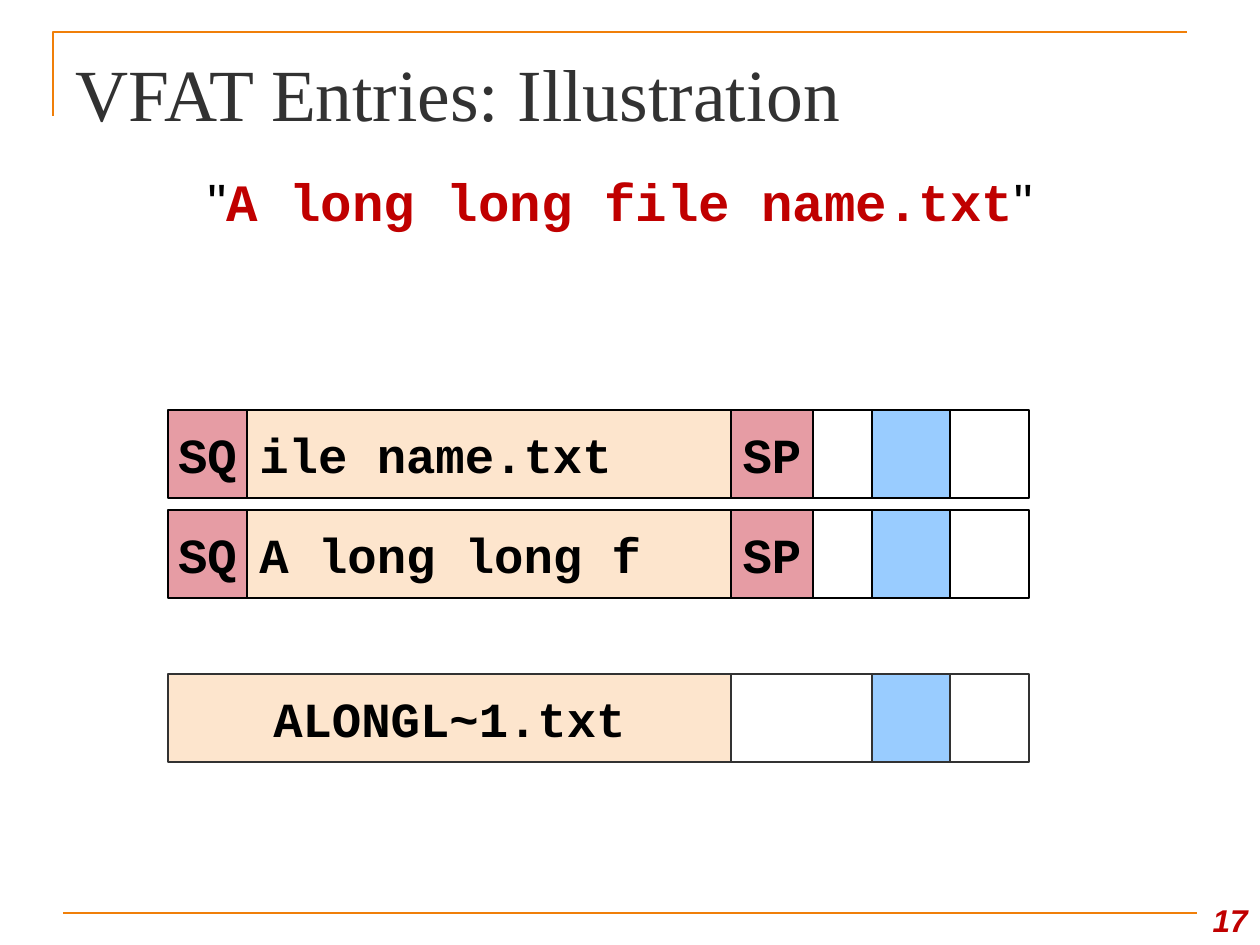
from lxml import etree
from pptx import Presentation
from pptx.dml.color import RGBColor
from pptx.enum.shapes import MSO_CONNECTOR, MSO_SHAPE
from pptx.enum.text import MSO_ANCHOR, MSO_AUTO_SIZE, PP_ALIGN
from pptx.oxml.ns import qn
from pptx.util import Pt

LEFT, CENTER, RIGHT = PP_ALIGN.LEFT, PP_ALIGN.CENTER, PP_ALIGN.RIGHT
MIDDLE, BOTTOM, TOP = MSO_ANCHOR.MIDDLE, MSO_ANCHOR.BOTTOM, MSO_ANCHOR.TOP
RECTANGLE, STRAIGHT = MSO_SHAPE.RECTANGLE, MSO_CONNECTOR.STRAIGHT
NO_AUTOFIT = MSO_AUTO_SIZE.NONE

SERIF, SANS, MONO = "Times New Roman", "Arial", "Courier New"
BLACK, WHITE, GRAY, RED = "000000", "FFFFFF", "323232", "C00000"
ORANGE, PEACH, PINK, BLUE = "F07F09", "FDE5CD", "E69CA4", "99CCFF"
EMU_PER_PX = 914400 / 126


def px(length):
    return round(length * EMU_PER_PX)


def color(value):
    return RGBColor.from_string(value)


class SlideBuilder:
    def __init__(self, slide):
        self.slide = slide
        self.line_width = Pt(1.5)

    def set_line(self, shape, line_color):
        shape.line.color.rgb = color(line_color)
        shape.line.width = self.line_width

    def format_run(self, run, size, font, run_color, bold=False, italic=False):
        run.font.size = Pt(size)
        run.font.name = font
        run.font.color.rgb = color(run_color)
        run.font.bold = bold
        run.font.italic = italic

    def placeholder(self, shape, box, anchor, align):
        """Move a placeholder and return its first paragraph."""
        shape.left, shape.top, shape.width, shape.height = map(px, box)
        frame = shape.text_frame
        frame.auto_size = NO_AUTOFIT
        frame.vertical_anchor = anchor
        frame.paragraphs[0].alignment = align
        return frame.paragraphs[0]

    def title(self, text, box):
        shape = self.slide.shapes.title
        paragraph = self.placeholder(shape, box, BOTTOM, LEFT)
        shape.text_frame.margin_bottom = 0
        paragraph.text = text
        self.format_run(paragraph.runs[0], 42, SERIF, GRAY)

    def quoted_name(self, text, box):
        """Put a highlighted file name between quotes in the body."""
        paragraph = self.placeholder(self.slide.placeholders[1], box, TOP, CENTER)
        paragraph.space_before = Pt(5)
        properties = paragraph._p.get_or_add_pPr()
        properties.set("marL", "0")
        properties.set("indent", "0")
        etree.SubElement(properties, qn("a:buNone"))
        for part, font, part_color, bold in (
            ('"', SANS, BLACK, False),
            (text, MONO, RED, True),
            ('"', SANS, BLACK, False),
        ):
            run = paragraph.add_run()
            run.text = part
            self.format_run(run, 30, font, part_color, bold)

    def page_number(self, text, box):
        frame = self.slide.shapes.add_textbox(*map(px, box)).text_frame
        frame.word_wrap = True
        frame.vertical_anchor = BOTTOM
        frame.text = text
        paragraph = frame.paragraphs[0]
        paragraph.alignment = RIGHT
        self.format_run(paragraph.runs[0], 18, SANS, RED, bold=True, italic=True)

    def corner(self, points):
        start, *others = [(px(x), px(y)) for x, y in points]
        builder = self.slide.shapes.build_freeform(*start)
        builder.add_line_segments(others, close=False)
        shape = builder.convert_to_shape()
        shape.shadow.inherit = False
        shape.fill.background()
        self.set_line(shape, ORANGE)

    def rule(self, x1, x2, y):
        line = self.slide.shapes.add_connector(STRAIGHT, px(x1), px(y), px(x2), px(y))
        self.set_line(line, ORANGE)
        etree.SubElement(line._element.spPr, qn("a:effectLst"))

    def entry(self, top, height, line_color, cells):
        """Draw one directory entry as a group of (left, right, fill, text, align)."""
        group = self.slide.shapes.add_group_shape()
        for left, right, fill, text, align in cells:
            cell = group.shapes.add_shape(
                RECTANGLE, px(left), px(top), px(right - left), px(height))
            cell.shadow.inherit = False
            cell.fill.solid()
            cell.fill.fore_color.rgb = color(fill)
            self.set_line(cell, line_color)
            if text:
                frame = cell.text_frame
                frame.word_wrap = False
                frame.vertical_anchor = MIDDLE
                frame.text = text
                paragraph = frame.paragraphs[0]
                paragraph.alignment = align
                paragraph.space_before = Pt(10)
                self.format_run(paragraph.runs[0], 28, MONO, BLACK, bold=True)


def main():
    presentation = Presentation()
    presentation.slide_width, presentation.slide_height = px(1260), px(945)
    slide = presentation.slides.add_slide(presentation.slide_layouts[1])
    builder = SlideBuilder(slide)

    builder.corner([(53, 116), (53, 32), (1187, 32)])
    builder.rule(63, 1197, 913)
    builder.title("VFAT Entries: Illustration", (63, 38, 1134, 98))
    builder.quoted_name("A long long file name.txt", (53, 163, 1134, 94))
    builder.page_number("17", (1187, 882, 73, 63))

    start, name, checksum, rest, cluster, size, end = 168, 247, 731, 813, 872, 950, 1029
    height = 88
    cluster_cell = (cluster, size, BLUE, "", CENTER)

    builder.entry(674, height, GRAY, [
        (checksum, end, WHITE, "", CENTER),
        (start, checksum, PEACH, "ALONGL~1.txt", CENTER),
        cluster_cell,
    ])
    for top, text in ((410, "ile name.txt"), (510, "A long long f")):
        builder.entry(top, height, BLACK, [
            (rest, end, WHITE, "", CENTER),
            (start, name, PINK, "SQ", CENTER),
            (checksum, rest, PINK, "SP", CENTER),
            (name, checksum, PEACH, text, LEFT),
            cluster_cell,
        ])

    presentation.save("out.pptx")


if __name__ == "__main__":
    main()
